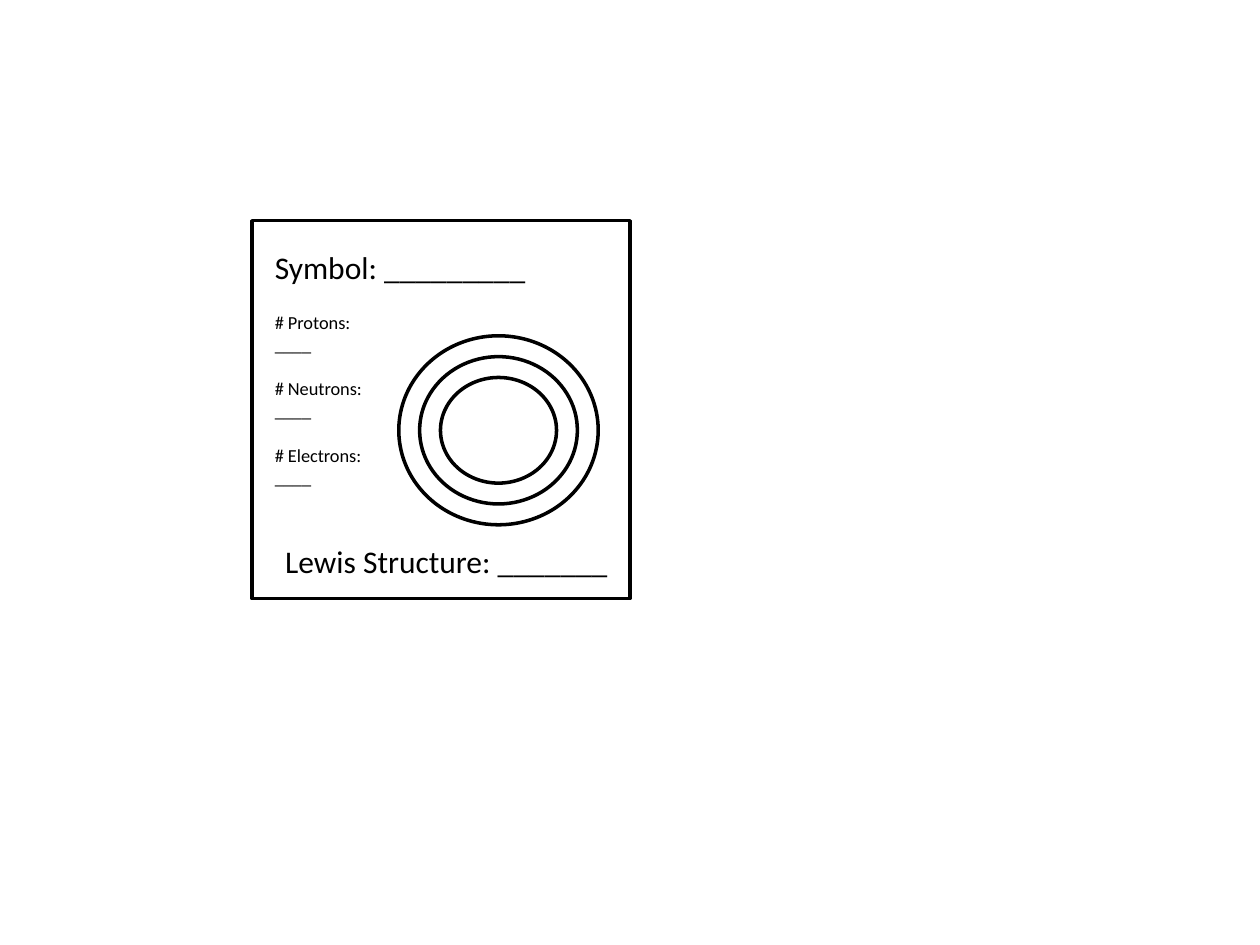
"""Build a slide with a blank atom card: symbol, particle counts, shells and Lewis structure."""
from pptx import Presentation, util as u
from pptx.dml import color
from pptx.enum import shapes, text

COLORS = {"ink": "000000"}
INK = color.RGBColor.from_string(COLORS["ink"])


def add_outline(card, kind, left, top, width, height):
    outline = card.shapes.add_shape(kind, u.Cm(left), u.Cm(top), u.Cm(width), u.Cm(height))
    outline.shadow.inherit = False
    outline.fill.background()
    outline.line.color.rgb = INK
    outline.line.width = u.Pt(2)


def add_label(card, left, top, width, height, size, lines):
    label = card.shapes.add_textbox(u.Cm(left), u.Cm(top), u.Cm(width), u.Cm(height))
    frame = label.text_frame
    frame.word_wrap = False
    frame.auto_size = text.MSO_AUTO_SIZE.SHAPE_TO_FIT_TEXT
    frame.text = "\n".join(lines)
    font_format = {"name": "Calibri", "size": u.Pt(size)}
    for paragraph in frame.paragraphs:
        for run in paragraph.runs:
            for attribute, value in font_format.items():
                setattr(run.font, attribute, value)
            run.font.color.rgb = INK
    return frame


prs = Presentation()
prs.slide_width, prs.slide_height = u.Cm(25.4), u.Cm(19.05)
slide = prs.slides.add_slide(prs.slide_layouts[6])
card = slide.shapes.add_group_shape()

add_outline(card, shapes.MSO_SHAPE.RECTANGLE, 5.08, 4.45, 7.62, 7.62)
add_label(card, 5.29, 4.87, 5.64, 1.03, 18, ["Symbol: _________"])
add_label(card, 5.5, 10.8, 7.09, 1.03, 18, ["Lewis Structure: _______"])

count_lines = []
for particle in ("Protons", "Neutrons", "Electrons"):
    count_lines += [f"# {particle}:", "____"]
counts = add_label(card, 5.29, 6.14, 2.39, 4.29, 10.5, count_lines)
for heading in counts.paragraphs[2::2]:
    heading.space_before = u.Pt(12.8)

shell_gap = 0.42
for shell in range(3):
    inset = shell * shell_gap
    add_outline(card, shapes.MSO_SHAPE.OVAL, 8.04 + inset, 6.77 + inset,
                4.02 - 2 * inset, 3.81 - 2 * inset)

prs.save("out.pptx")
